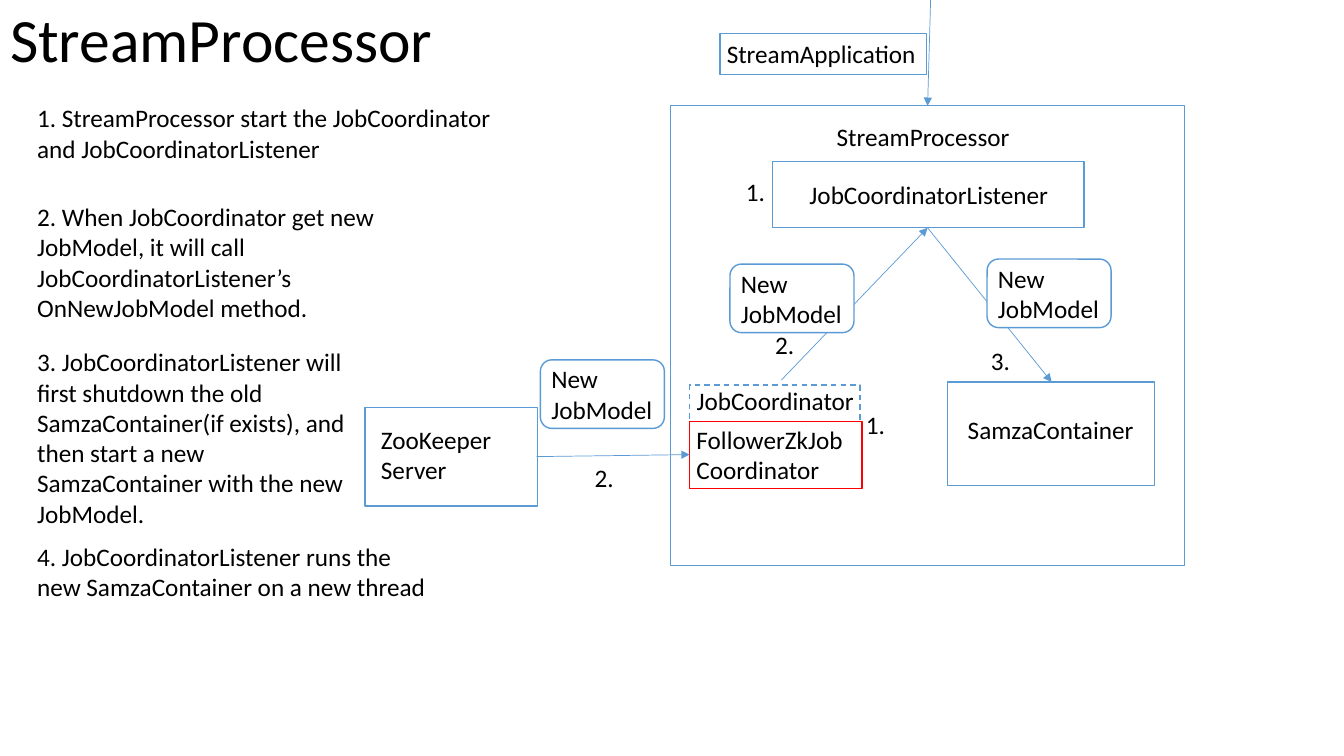
from dataclasses import dataclass

from lxml.etree import SubElement
from pptx import Presentation
from pptx.dml.color import RGBColor
from pptx.enum.dml import MSO_LINE_DASH_STYLE as Dash
from pptx.enum.shapes import MSO_CONNECTOR as Connector, MSO_SHAPE as Shape
from pptx.enum.text import MSO_ANCHOR as Anchor, MSO_AUTO_SIZE as AutoSize, PP_ALIGN as Align
from pptx.oxml.ns import qn
from pptx.util import Inches, Pt


@dataclass(frozen=True)
class Theme:
    font: str = "Calibri"
    ink: RGBColor = RGBColor(0x00, 0x00, 0x00)
    paper: RGBColor = RGBColor(0xFF, 0xFF, 0xFF)
    accent: RGBColor = RGBColor(0x5B, 0x9B, 0xD5)
    alert: RGBColor = RGBColor(0xFF, 0x00, 0x00)
    title_size: int = 44
    body_size: int = 18
    outline: float = 1
    arrow: float = 0.5


THEME = Theme()

STEPS = [
    ((0.27, 0.97, 4.74, 0.71),
     "1. StreamProcessor start the JobCoordinator and JobCoordinatorListener"),
    ((0.27, 1.95, 3.85, 1.31),
     "2. When JobCoordinator get new JobModel, it will call "
     "JobCoordinatorListener’s OnNewJobModel method."),
    ((0.27, 3.39, 3.27, 1.92),
     "3. JobCoordinatorListener will first shutdown the old SamzaContainer(if exists), "
     "and then start a new SamzaContainer with the new JobModel."),
    ((0.27, 5.32, 4.13, 0.71),
     "4. JobCoordinatorListener runs the new SamzaContainer on a new thread"),
]

STEP_MARKS = [
    ((8.49, 4.01, 0.57, 0.4), "1."),
    ((7.3, 1.7, 0.66, 0.4), "1."),
    ((5.8, 4.54, 0.53, 0.4), "2."),
    ((7.59, 3.22, 0.53, 0.4), "2."),
    ((9.73, 3.38, 0.4, 0.4), "3."),
]

JOB_MODEL_CORNERS = [(5.36, 3.57), (7.24, 2.62), (9.79, 2.57)]


def inches(values):
    return [Inches(value) for value in values]


def write_text(frame, text, size=THEME.body_size, color=THEME.ink, anchor=Anchor.TOP,
               line_spacing=None, auto_size=AutoSize.SHAPE_TO_FIT_TEXT):
    frame.word_wrap = True
    frame.auto_size = auto_size
    frame.vertical_anchor = anchor
    para = frame.paragraphs[0]
    para.alignment = Align.LEFT
    if line_spacing:
        para.line_spacing = line_spacing
    span = para.add_run()
    span.text = text
    span.font.name = THEME.font
    span.font.size = Pt(size)
    span.font.color.rgb = color


def add_title(slide, area, text):
    title = slide.shapes.title
    title.left, title.top, title.width, title.height = inches(area)
    write_text(title.text_frame, text, size=THEME.title_size, anchor=Anchor.MIDDLE,
               line_spacing=0.9, auto_size=AutoSize.NONE)


def add_label(slide, area, text):
    box = slide.shapes.add_textbox(*inches(area))
    write_text(box.text_frame, text)


def add_node(slide, area, text, text_area, kind=Shape.RECTANGLE, color=THEME.accent, dash=None):
    node = slide.shapes.add_shape(kind, *inches(area))
    node.shadow.inherit = False
    node.fill.solid()
    node.fill.fore_color.rgb = THEME.paper
    node.line.color.rgb = color
    node.line.width = Pt(THEME.outline)
    if dash:
        node.line.dash_style = dash
    add_label(slide, text_area, text)


def add_job_model(slide, left, top):
    add_node(slide, (left, top, 1.23, 0.68), "New JobModel",
             (left + 0.01, top - 0.01, 1.23, 0.71), kind=Shape.ROUNDED_RECTANGLE)


def add_arrow(slide, start, end):
    arrow = slide.shapes.add_connector(Connector.STRAIGHT, *inches(start + end))
    arrow.line.color.rgb = THEME.accent
    arrow.line.width = Pt(THEME.arrow)
    SubElement(arrow.line._get_or_add_ln(), qn("a:tailEnd"), type="triangle")
    SubElement(arrow._element.spPr, qn("a:effectLst"))


def add_processor(slide):
    add_node(slide, (6.65, 1.05, 5.1, 4.56), "StreamProcessor", (8.2, 1.15, 2.24, 0.41))
    add_node(slide, (6.84, 3.82, 1.69, 0.36), "JobCoordinator", (6.81, 3.77, 1.89, 0.4),
             dash=Dash.DASH)
    add_node(slide, (6.84, 4.18, 1.71, 0.67), "FollowerZkJobCoordinator",
             (6.81, 4.16, 1.73, 0.71), color=THEME.alert)
    add_node(slide, (9.4, 3.79, 2.05, 1.03), "SamzaContainer", (9.5, 4.06, 2, 0.4))
    add_node(slide, (7.66, 1.6, 3.09, 0.66), "JobCoordinatorListener", (7.93, 1.73, 2.68, 0.4))


def main():
    deck = Presentation()
    deck.slide_width, deck.slide_height = Inches(13.33), Inches(7.5)
    slide = deck.slides.add_slide(deck.slide_layouts.get_by_name("Title Only"))

    add_title(slide, (0, -0.3, 11.5, 1.45), "StreamProcessor")
    add_processor(slide)
    add_node(slide, (3.62, 4.04, 1.71, 0.98), "ZooKeeper Server", (3.68, 4.16, 1.61, 0.71))
    add_node(slide, (7.14, 0.33, 2.05, 0.41), "StreamApplication", (7.11, 0.33, 2.09, 0.4))

    listener = (9.2, 2.26)
    add_arrow(slide, (7.75, 3.77), listener)
    add_arrow(slide, listener, (10.43, 3.79))
    add_arrow(slide, (5.32, 4.53), (6.84, 4.51))
    add_arrow(slide, (9.23, 0), (9.2, 1.05))

    for left, top in JOB_MODEL_CORNERS:
        add_job_model(slide, left, top)
    for area, text in STEPS + STEP_MARKS:
        add_label(slide, area, text)

    deck.save("out.pptx")


if __name__ == "__main__":
    main()
